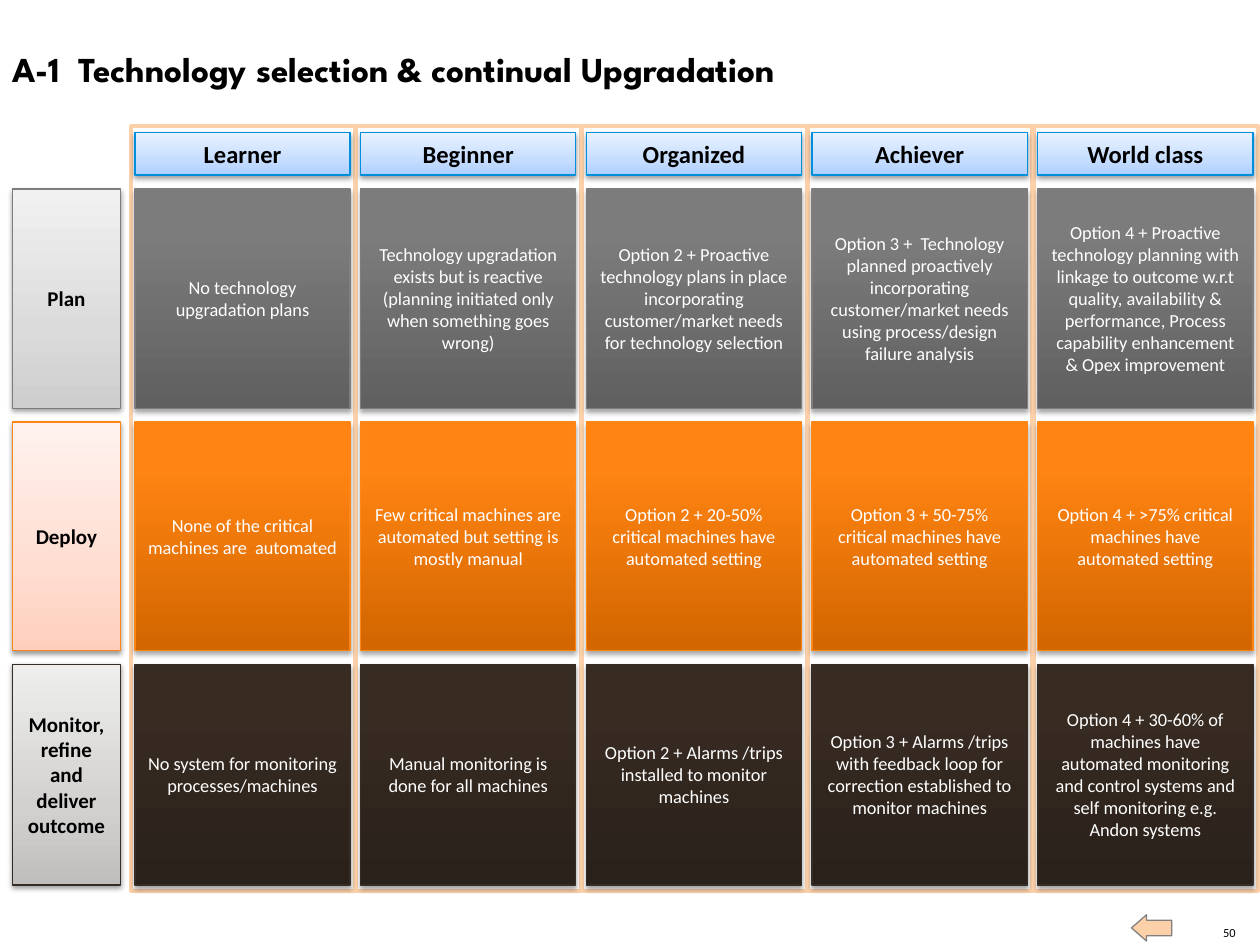
from lxml.etree import SubElement
from pptx import Presentation
from pptx.dml.color import RGBColor
from pptx.enum.shapes import MSO_SHAPE
from pptx.enum.text import MSO_ANCHOR, MSO_AUTO_SIZE, PP_ALIGN
from pptx.oxml.ns import qn
from pptx.util import Cm, Pt

COLUMN_LEFT, COLUMN_PITCH = 2.64, 4.55
CELL_INSET, CELL_WIDTH = 0.08, 4.34
PEACH, GREY = "FCD1AA", "808080"

LEVELS = ["Learner", "Beginner", "Organized", "Achiever", "World class"]
LEVEL_STYLE = ("008FDC", [(0, "AECFFF"), (35, "C6DDFF"), (100, "E9F2FF")])

# Each stage: label, top, height, line, label gradient, cell gradient, cell texts
STAGES = [
    ("Plan", 3.81, 4.42, "7D7D7D",
     [(0, "CDCDCD"), (35, "DBDBDB"), (100, "F1F1F1")],
     [(0, "606060"), (80, "7C7C7C"), (100, "7D7D7D")],
     ["No technology upgradation plans",
      "Technology upgradation exists but is reactive (planning initiated only "
      "when something goes wrong)",
      "Option 2 + Proactive technology plans in place incorporating "
      "customer/market needs for technology selection",
      "Option 3 +  Technology planned proactively incorporating "
      "customer/market needs using process/design failure analysis",
      "Option 4 + Proactive technology planning with linkage to outcome w.r.t "
      "quality, availability & performance, Process capability enhancement "
      "& Opex improvement"]),
    ("Deploy", 8.51, 4.6, "FF8615",
     [(0, "FFCFBD"), (35, "FFDDD1"), (100, "FFF2EE")],
     [(0, "D26600"), (80, "FF8412"), (100, "FF8514")],
     ["None of the critical machines are  automated",
      "Few critical machines are automated but setting is mostly manual",
      "Option 2 + 20-50% critical machines have automated setting",
      "Option 3 + 50-75% critical machines have automated setting",
      "Option 4 + >75% critical machines have automated setting"]),
    ("Monitor, refine and deliver outcome", 13.39, 4.45, "352C25",
     [(0, "C0BEBC"), (35, "D3D1D0"), (100, "EEEEED")],
     [(0, "2A211B"), (80, "372B22"), (100, "372B22")],
     ["No system for monitoring processes/machines",
      "Manual monitoring is done for all machines",
      "Option 2 + Alarms /trips installed to monitor machines",
      "Option 3 + Alarms /trips with feedback loop for correction established "
      "to monitor machines",
      "Option 4 + 30-60% of machines have automated monitoring and control "
      "systems and self monitoring e.g. Andon systems"]),
]


def color(hex_string):
    return RGBColor.from_string(hex_string)


def write(frame, text, size, ink="000000", bold=False, align=PP_ALIGN.CENTER, face="Calibri"):
    paragraph = frame.paragraphs[0]
    paragraph.alignment = align
    run = paragraph.add_run()
    run.text = text
    run.font.name, run.font.size, run.font.bold = face, Pt(size), bold
    run.font.color.rgb = color(ink)


def add_block(slide, box, line, line_width=0.75, fill="FFFFFF", preset=MSO_SHAPE.RECTANGLE):
    block = slide.shapes.add_shape(preset, *map(Cm, box))
    block.shadow.inherit = False
    block.fill.solid()
    block.fill.fore_color.rgb = color(fill)
    block.line.color.rgb = color(line)
    block.line.width = Pt(line_width)
    return block


def set_gradient(block, stops):
    """Linear gradient that runs from the bottom edge to the top edge."""
    solid = block._element.spPr.find(qn("a:solidFill"))
    gradient = solid.makeelement(qn("a:gradFill"), {"rotWithShape": "1"})
    stop_list = SubElement(gradient, qn("a:gsLst"))
    for percent, hex_string in stops:
        stop = SubElement(stop_list, qn("a:gs"), pos=str(percent * 1000))
        SubElement(stop, qn("a:srgbClr"), val=hex_string)
    SubElement(gradient, qn("a:lin"), ang="16200000", scaled="0")
    solid.getparent().replace(solid, gradient)


def set_shadow(block, opacity, distance):
    effects = block._element.spPr.find(qn("a:effectLst"))
    shadow = SubElement(effects, qn("a:outerShdw"), blurRad=str(Pt(3.1)),
                        dist=str(Pt(distance)), dir="5400000", rotWithShape="0")
    black = SubElement(shadow, qn("a:srgbClr"), val="000000")
    SubElement(black, qn("a:alpha"), val=str(opacity * 1000))


def add_tile(slide, box, text, line, stops, size, heading=True):
    """Gradient tile: black bold text for headings, white text for cells."""
    tile = add_block(slide, box, line)
    set_gradient(tile, stops)
    set_shadow(tile, *((38, 1.6) if heading else (35, 1.8)))
    tile.text_frame.word_wrap = True
    tile.text_frame.vertical_anchor = MSO_ANCHOR.MIDDLE
    write(tile.text_frame, text, size, "000000" if heading else "FFFFFF", heading)


def add_title(slide, box):
    title = slide.shapes.title
    title.left, title.top, title.width, title.height = map(Cm, box)
    title.text_frame.vertical_anchor = MSO_ANCHOR.TOP
    title.text_frame.auto_size = MSO_AUTO_SIZE.NONE
    write(title.text_frame, "A-1  Technology selection & continual Upgradation", 20,
          bold=True, align=PP_ALIGN.LEFT, face="League Spartan")


def add_stage_labels(slide, left, width):
    for label, top, height, line, stops, _, _ in STAGES:
        add_tile(slide, (left, top, width, height), label, line, stops, 12)


def add_level_column(slide, index, box):
    left, top, width, height = box
    add_block(slide, box, PEACH, 2)
    cell_left = left + CELL_INSET
    for _, stage_top, stage_height, line, _, stops, texts in STAGES:
        add_tile(slide, (cell_left, stage_top, CELL_WIDTH, stage_height),
                 texts[index], line, stops, 10.5, heading=False)
    add_tile(slide, (cell_left, top + 0.13, CELL_WIDTH, 0.86),
             LEVELS[index], *LEVEL_STYLE, 14)


def add_footer(slide, left, top):
    # Back arrow
    arrow = add_block(slide, (left, top, 0.81, 0.53), GREY, fill=PEACH,
                      preset=MSO_SHAPE.RIGHT_ARROW)
    arrow.rotation = 180
    arrow.adjustments[0], arrow.adjustments[1] = 0.59, 0.57

    # Page number
    page_number = slide.shapes.add_textbox(Cm(left + 1.8), Cm(top + 0.2), Cm(0.3), Cm(0.3))
    frame = page_number.text_frame
    frame.margin_left = frame.margin_right = frame.margin_top = frame.margin_bottom = 0
    frame.vertical_anchor = MSO_ANCHOR.BOTTOM
    frame.word_wrap = False
    write(frame, "50", 7.1, align=PP_ALIGN.RIGHT)


def main():
    deck = Presentation()
    deck.slide_width, deck.slide_height = Cm(25.4), Cm(19.05)
    slide = deck.slides.add_slide(deck.slide_layouts[5])
    add_footer(slide, 22.81, 18.44)
    add_title(slide, (0, 0.84, 21.84, 1.12))
    add_stage_labels(slide, 0.25, 2.18)
    for index in range(len(LEVELS)):
        add_level_column(slide, index, (COLUMN_LEFT + index * COLUMN_PITCH, 2.54, 4.52, 15.42))
    deck.save("out.pptx")


if __name__ == "__main__":
    main()
